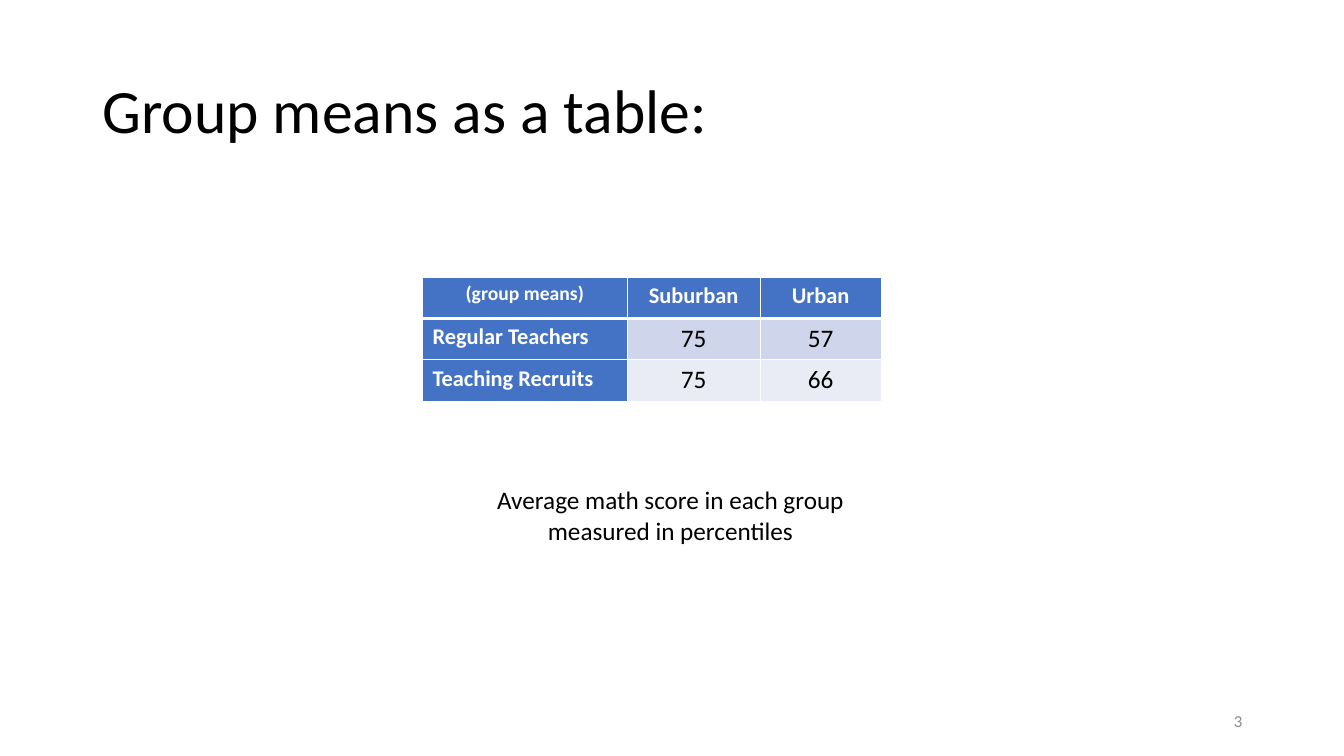
"""Build a slide with a table of group means and its caption."""
from lxml import etree
from pptx import Presentation
from pptx import util as u
from pptx.dml.color import RGBColor
from pptx.enum import text
from pptx.oxml.ns import qn

COLORS = {
    "white": "FFFFFF",
    "black": "000000",
    "header": "4472C4",
    "band_dark": "CFD5EA",
    "band_light": "E9EBF5",
    "number": "8C8C8C",
}
LEFT, CENTER, RIGHT = text.PP_ALIGN.LEFT, text.PP_ALIGN.CENTER, text.PP_ALIGN.RIGHT
TOP, MIDDLE = text.MSO_ANCHOR.TOP, text.MSO_ANCHOR.MIDDLE


def write(frame, wording, size, color, align, bold=False):
    frame.text = wording
    paragraph = frame.paragraphs[0]
    paragraph.alignment = align
    font = paragraph.runs[0].font
    font.name = "Calibri"
    font.size = u.Pt(size)
    font.bold = bold
    font.color.rgb = RGBColor.from_string(COLORS[color])
    return paragraph


def add_border(cell, side, width):
    properties = cell._tc.get_or_add_tcPr()
    line = etree.SubElement(properties, qn(f"a:ln{side}"), w=str(u.Pt(width)))
    fill = etree.SubElement(line, qn("a:solidFill"))
    etree.SubElement(fill, qn("a:srgbClr"), val=COLORS["white"])


presentation = Presentation()
presentation.slide_width = u.Inches(13.33)
presentation.slide_height = u.Inches(7.5)
slide = presentation.slides.add_slide(presentation.slide_layouts[6])

rows = [
    ["(group means)", "Suburban", "Urban"],
    ["Regular Teachers", "75", "57"],
    ["Teaching Recruits", "75", "66"],
]
column_widths = [2.03, 1.32, 1.2]
row_height = 0.41
table = slide.shapes.add_table(
    len(rows), len(column_widths), u.Inches(4.19), u.Inches(2.75),
    u.Inches(sum(column_widths)), u.Inches(row_height * len(rows)),
).table
for column, width in zip(table.columns, column_widths):
    column.width = u.Inches(width)

for row_index, row in enumerate(rows):
    table.rows[row_index].height = u.Inches(row_height)
    for column_index, wording in enumerate(row):
        cell = table.cell(row_index, column_index)
        is_header = row_index == 0 or column_index == 0
        if is_header:
            size = 14 if row_index == column_index else 16
            fill, color = "header", "white"
        else:
            size, color = 18, "black"
            fill = "band_dark" if row_index % 2 else "band_light"
        align = LEFT if row_index and column_index == 0 else CENTER
        write(cell.text_frame, wording, size, color, align, is_header)
        for side in "LRTB":
            under_header = (row_index, side) in [(0, "B"), (1, "T")]
            add_border(cell, side, 3 if under_header else 1)
        cell.fill.solid()
        cell.fill.fore_color.rgb = RGBColor.from_string(COLORS[fill])

text_boxes = [
    ("Group means as a table:", (0.92, 0.4, 11.5, 1.45), 44, "black", LEFT, MIDDLE, 0.9),
    ("Average math score in each group measured in percentiles",
     (4.55, 4.76, 4.2, 0.71), 18, "black", CENTER, TOP, 1.0),
    ("3", (9.42, 6.95, 3, 0.4), 12, "number", RIGHT, MIDDLE, 1.0),
]
for wording, place, size, color, align, anchor, spacing in text_boxes:
    shape = slide.shapes.add_textbox(*[u.Inches(length) for length in place])
    frame = shape.text_frame
    frame.word_wrap = True
    frame.vertical_anchor = anchor
    paragraph = write(frame, wording, size, color, align)
    paragraph.line_spacing = spacing

presentation.save("out.pptx")
